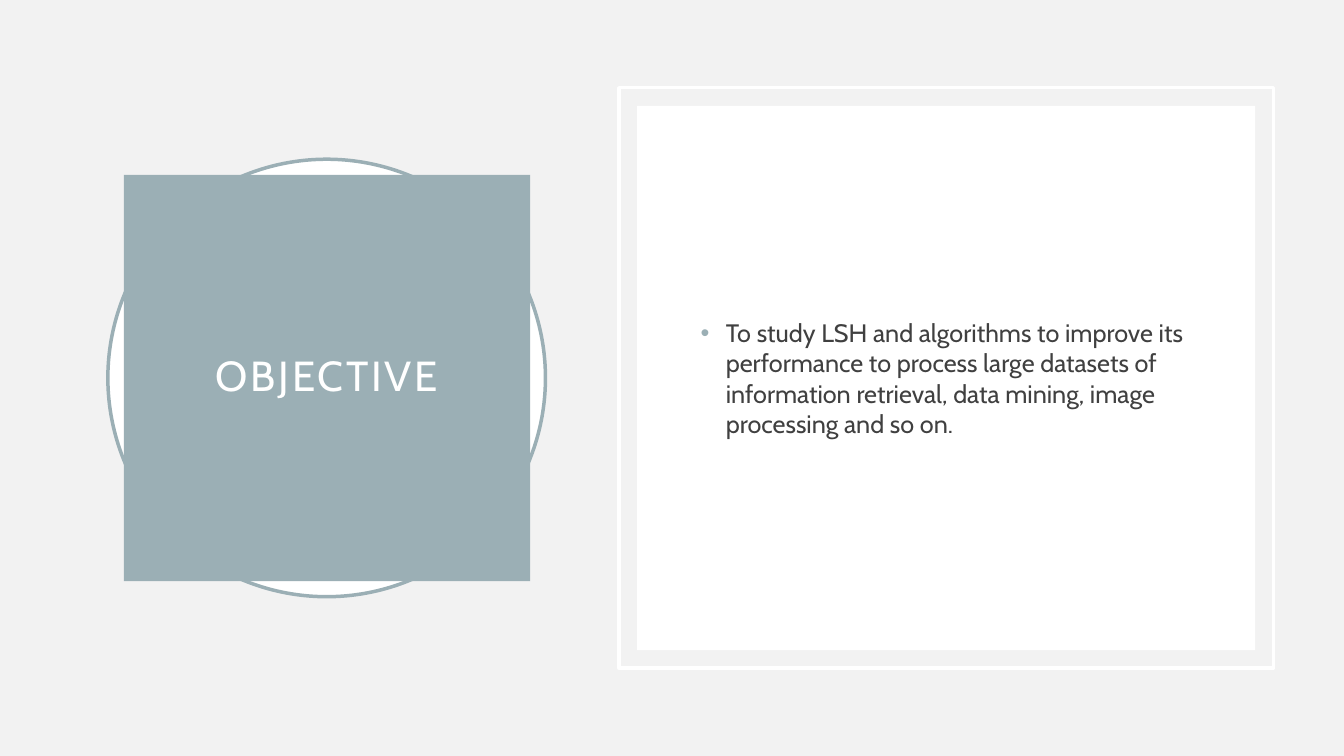
from lxml.etree import SubElement
from pptx import Presentation
from pptx.dml.color import RGBColor
from pptx.enum.shapes import MSO_SHAPE
from pptx.enum.text import MSO_ANCHOR, PP_ALIGN
from pptx.oxml.ns import qn
from pptx.util import Inches, Pt

WHITE, SAGE, PALE, DARK = "FFFFFF", "9BAFB5", "F2F2F2", "404040"
MIDDLE = 3.75


def paint(target, color):
    """Give a fill a solid colour from a hex string."""
    target.solid()
    target.fore_color.rgb = RGBColor.from_string(color)


def write(box, text, size, color, align=PP_ALIGN.LEFT, inset=(0.1, 0.05),
          line_spacing=1.0, before=0, tracking=0, bullet=None):
    frame = box.text_frame
    frame.word_wrap = True
    frame.vertical_anchor = MSO_ANCHOR.MIDDLE
    frame.margin_left = frame.margin_right = Inches(inset[0])
    frame.margin_top = frame.margin_bottom = Inches(inset[1])
    para = frame.paragraphs[0]
    para.alignment = align
    para.line_spacing = line_spacing
    para.space_before = Pt(before)
    span = para.add_run()
    span.text = text
    span.font.name = "Cabin"
    span.font.size = Pt(size)
    paint(span.font.fill, color)
    if tracking:
        span.font._element.set("spc", str(tracking * 100))
    if bullet:
        props = para._p.get_or_add_pPr()
        props.set("marL", str(Inches(0.25)))
        props.set("indent", str(Inches(-0.25)))
        bullet_color = SubElement(props, qn("a:buClr"))
        SubElement(bullet_color, qn("a:srgbClr"), val=bullet)
        SubElement(props, qn("a:buFont"), typeface="Arial")
        SubElement(props, qn("a:buChar"), char="•")


deck = Presentation()
deck.slide_width, deck.slide_height = Inches(13.33), Inches(7.5)
page = deck.slides.add_slide(deck.slide_layouts[6])
paint(page.background.fill, PALE)

# Ring, panel frame, panel and title square, all centred on the slide's height
shapes = []
for kind, left, width, height, fill, line in (
    (MSO_SHAPE.OVAL, 1.07, 4.34, 4.34, WHITE, SAGE),
    (MSO_SHAPE.RECTANGLE, 6.14, 6.49, 5.76, None, WHITE),
    (MSO_SHAPE.RECTANGLE, 6.32, 6.13, 5.4, WHITE, None),
    (MSO_SHAPE.RECTANGLE, 1.23, 4.03, 4.03, SAGE, None),
):
    shape = page.shapes.add_shape(kind, Inches(left), Inches(MIDDLE - height / 2),
                                  Inches(width), Inches(height))
    shape.shadow.inherit = False
    if fill:
        paint(shape.fill, fill)
    else:
        shape.fill.background()
    if line:
        paint(shape.line.fill, line)
        shape.line.width = Pt(2.5)
    else:
        shape.line.fill.background()
    shapes.append(shape)

ring, panel_frame, panel, title = shapes
write(title, "OBJECTIVE", 30, WHITE, align=PP_ALIGN.CENTER,
      inset=(0.2, 0.2), line_spacing=0.9, tracking=2)

body = page.shapes.add_textbox(Inches(6.85), ring.top, Inches(5.09), ring.height)
write(body, "To study LSH and algorithms to improve its performance to process "
      "large datasets of information retrieval, data mining, image processing "
      "and so on.", 18, DARK, before=10, bullet=SAGE)

deck.save("out.pptx")
